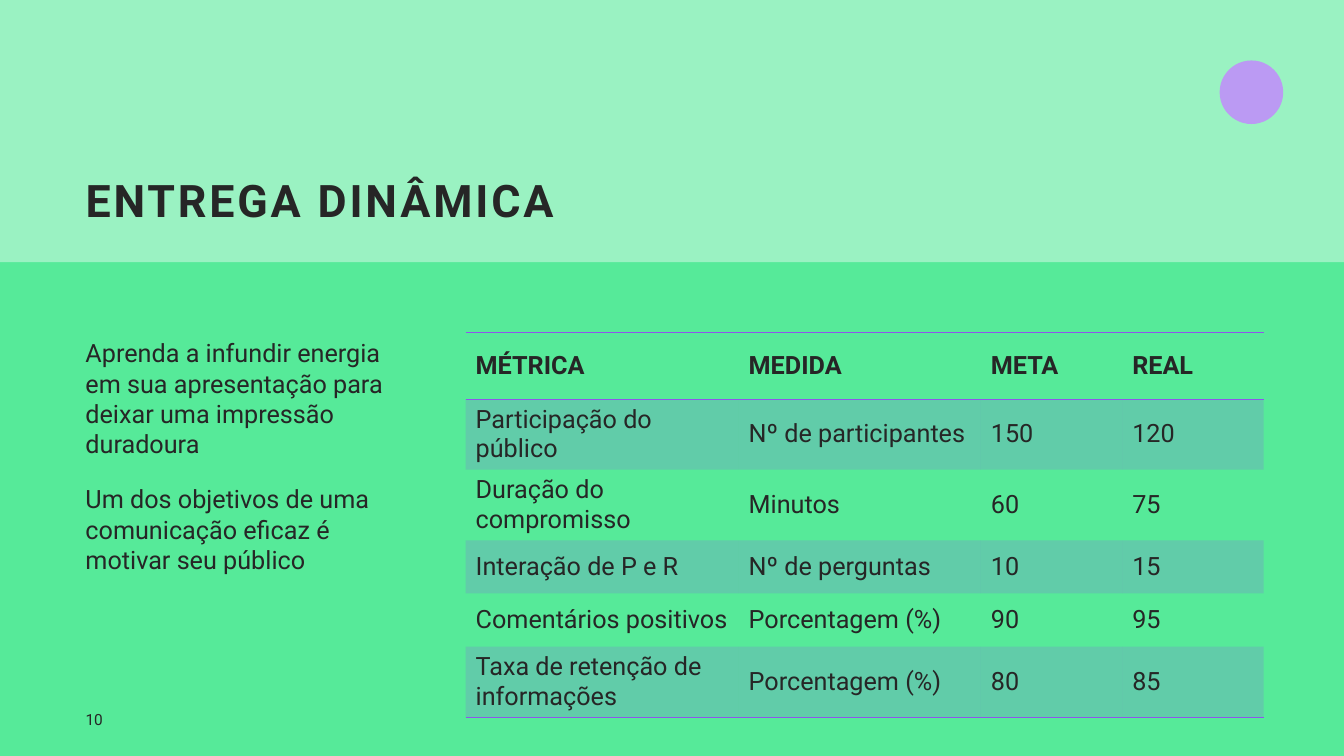
"""Build the dynamic delivery slide with its metrics table."""
from lxml.etree import SubElement
from pptx import Presentation
from pptx.dml.color import RGBColor
from pptx.enum.shapes import MSO_SHAPE as Preset
from pptx.enum.text import MSO_ANCHOR as Anchor, MSO_AUTO_SIZE as AutoSize, PP_ALIGN as Align
from pptx.oxml.ns import qn
from pptx.util import Pt

GREEN = RGBColor(0x56, 0xEA, 0x99)
LIGHT_GREEN = RGBColor(0x9A, 0xF2, 0xC2)
LILAC = RGBColor(0xBB, 0x9A, 0xF3)
PURPLE = RGBColor(0x8E, 0x56, 0xEB)
INK = RGBColor(0x26, 0x26, 0x26)

FONT = "Roboto"
MARGIN = 54
NO_TABLE_STYLE = "{2D5ABB26-0587-4C30-8999-92F81FD0307C}"

TITLE = "ENTREGA\u00a0DINÂMICA"
MESSAGES = [
    "Aprenda a infundir energia em sua apresentação para deixar uma impressão duradoura",
    "Um dos objetivos de uma comunicação eficaz é motivar seu público",
]
METRICS = [
    ["MÉTRICA", "MEDIDA", "META", "REAL"],
    ["Participação do público", "Nº de participantes", "150", "120"],
    ["Duração do compromisso", "Minutos", "60", "75"],
    ["Interação de P e R", "Nº de perguntas", "10", "15"],
    ["Comentários positivos", "Porcentagem (%)", "90", "95"],
    ["Taxa de retenção de informações", "Porcentagem (%)", "80", "85"],
]
COLUMN_WIDTHS = [195, 173, 101, 101]
ROW_HEIGHTS = [47.5, 38, 38, 38, 38, 48]


def format_runs(text_frame, size, bold=False):
    for paragraph in text_frame.paragraphs:
        for run in paragraph.runs:
            run.font.name = FONT
            run.font.size = Pt(size)
            run.font.bold = bold
            run.font.color.rgb = INK


def add_filled_shape(slide, preset, box, color):
    shape = slide.shapes.add_shape(preset, *map(Pt, box))
    shape.shadow.inherit = False
    shape.fill.solid()
    shape.fill.fore_color.rgb = color
    shape.line.fill.background()


def place_title(slide, text, box):
    title = slide.shapes.title
    title.left, title.top, title.width, title.height = map(Pt, box)
    text_frame = title.text_frame
    text_frame.text = text
    text_frame.word_wrap = True
    text_frame.auto_size = AutoSize.NONE
    text_frame.vertical_anchor = Anchor.BOTTOM
    paragraph = text_frame.paragraphs[0]
    paragraph.alignment = Align.LEFT
    paragraph.line_spacing = 0.9
    format_runs(text_frame, 32, bold=True)
    paragraph.runs[0].font._element.set("spc", "200")
    title.element.getparent().append(title.element)


def add_text(slide, lines, box, size, anchor=Anchor.TOP, space_before=0):
    text_frame = slide.shapes.add_textbox(*map(Pt, box)).text_frame
    text_frame.text = "\n".join(lines)
    text_frame.word_wrap = True
    text_frame.vertical_anchor = anchor
    for paragraph in text_frame.paragraphs:
        paragraph.space_before = Pt(space_before)
    format_runs(text_frame, size)


def add_border(cell, side):
    properties = cell._tc.get_or_add_tcPr()
    line = SubElement(properties, qn(f"a:{side}"), w=str(Pt(1)))
    fill = SubElement(line, qn("a:solidFill"))
    SubElement(fill, qn("a:srgbClr"), val=str(PURPLE))


def fill_cell(cell, banded):
    if not banded:
        cell.fill.background()
        return
    cell.fill.solid()
    cell.fill.fore_color.rgb = PURPLE
    color = cell._tc.tcPr.find(f"{qn('a:solidFill')}/{qn('a:srgbClr')}")
    SubElement(color, qn("a:alpha"), val="20000")


def add_metrics_table(slide, rows, left, top):
    frame = slide.shapes.add_table(
        len(rows), len(rows[0]), Pt(left), Pt(top),
        Pt(sum(COLUMN_WIDTHS)), Pt(sum(ROW_HEIGHTS)))
    table = frame.table
    table.horz_banding = False
    frame.element.find(f".//{qn('a:tableStyleId')}").text = NO_TABLE_STYLE
    for column, width in zip(table.columns, COLUMN_WIDTHS):
        column.width = Pt(width)
    for row, height in zip(table.rows, ROW_HEIGHTS):
        row.height = Pt(height)
    for row_index, values in enumerate(rows):
        is_header = row_index == 0
        for column_index, value in enumerate(values):
            cell = table.cell(row_index, column_index)
            cell.text_frame.text = value
            cell.vertical_anchor = Anchor.MIDDLE
            format_runs(cell.text_frame, 18, bold=is_header)
            if is_header:
                add_border(cell, "lnT")
            if is_header or row_index == len(rows) - 1:
                add_border(cell, "lnB")
            fill_cell(cell, banded=row_index % 2 == 1)


def main():
    presentation = Presentation()
    presentation.slide_width, presentation.slide_height = Pt(960), Pt(540)
    slide = presentation.slides.add_slide(presentation.slide_layouts[5])
    slide.background.fill.solid()
    slide.background.fill.fore_color.rgb = GREEN

    add_filled_shape(slide, Preset.RECTANGLE, (0, 0, 960, 187.2), LIGHT_GREEN)
    add_filled_shape(slide, Preset.OVAL, (871.2, 43.2, 45.4, 45.4), LILAC)
    place_title(slide, TITLE, (MARGIN, 50.4, 792, 115.2))
    add_text(slide, MESSAGES, (MARGIN, 237.6, 244.8, 252), 18, space_before=18)
    add_metrics_table(slide, METRICS, 332.6, 237.6)
    add_text(slide, ["10"], (MARGIN, 504.7, 60, 18), 11, Anchor.MIDDLE)
    presentation.save("out.pptx")


if __name__ == "__main__":
    main()
